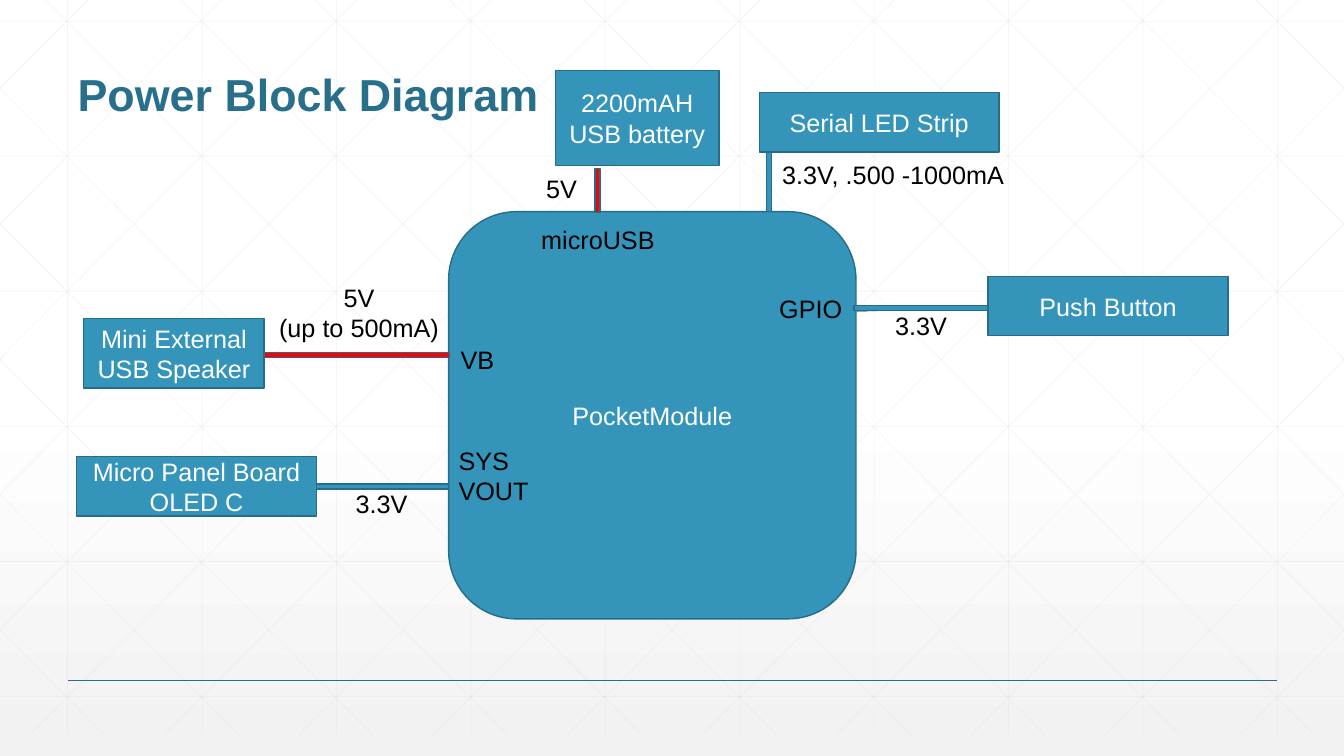
from copy import deepcopy

from lxml import etree
from pptx import Presentation
from pptx.dml.color import RGBColor
from pptx.enum.shapes import MSO_CONNECTOR, MSO_SHAPE
from pptx.enum.text import MSO_ANCHOR, MSO_AUTO_SIZE, PP_ALIGN
from pptx.oxml.ns import qn
from pptx.util import Inches, Pt

STRAIGHT = MSO_CONNECTOR.STRAIGHT
RECTANGLE, ROUNDED = MSO_SHAPE.RECTANGLE, MSO_SHAPE.ROUNDED_RECTANGLE
TOP, MIDDLE, BOTTOM = MSO_ANCHOR.TOP, MSO_ANCHOR.MIDDLE, MSO_ANCHOR.BOTTOM
LEFT, CENTER = PP_ALIGN.LEFT, PP_ALIGN.CENTER

WHITE = RGBColor(0xFF, 0xFF, 0xFF)
BLACK = RGBColor(0, 0, 0)
RED = RGBColor(0xFF, 0, 0)
BLUE = RGBColor(0x34, 0x94, 0xBA)
EDGE = RGBColor(0x26, 0x6D, 0x8A)
TITLE_BLUE = RGBColor(0x27, 0x6F, 0x8B)
GRID_GRAY = RGBColor(0xD9, 0xD9, 0xD9)
PALE_GRAY = RGBColor(0xF2, 0xF2, 0xF2)

SLIDE_WIDTH, SLIDE_HEIGHT = 13.33, 7.5
FONT = "Arial"
BAR = 0.05


def write_text(shape, text, size=18, color=BLACK, bold=False, align=LEFT,
               anchor=TOP, line_spacing=None):
    frame = shape.text_frame
    frame.word_wrap = True
    frame.auto_size = MSO_AUTO_SIZE.NONE
    frame.vertical_anchor = anchor
    frame.text = text
    for paragraph in frame.paragraphs:
        paragraph.alignment = align
        paragraph.line_spacing = line_spacing
        paragraph.font.name = FONT
        paragraph.font.size = Pt(size)
        paragraph.font.bold = bold
        paragraph.font.color.rgb = color


def add_line(shapes, start, end, color, width, opacity=None):
    line = shapes.add_connector(STRAIGHT, *map(Inches, (*start, *end)))
    line.line.color.rgb = color
    line.line.width = Pt(width)
    properties = line.element.spPr
    if opacity is not None:
        fill_color = next(properties.iter(qn("a:srgbClr")))
        etree.SubElement(fill_color, qn("a:alpha")).set("val", str(opacity * 1000))
    etree.SubElement(properties, qn("a:effectLst"))


def add_box(slide, box, text="", fill=BLUE, kind=RECTANGLE):
    shape = slide.shapes.add_shape(kind, *map(Inches, box))
    shape.shadow.inherit = False
    shape.fill.solid()
    shape.fill.fore_color.rgb = fill
    shape.line.color.rgb = EDGE
    shape.line.width = Pt(1)
    if text:
        write_text(shape, text, color=WHITE, align=CENTER, anchor=MIDDLE)


def add_label(slide, box, text, align=LEFT):
    write_text(slide.shapes.add_textbox(*map(Inches, box)), text, align=align)


def set_background(slide):
    fill = slide.background.fill
    fill.gradient()
    fill.gradient_angle = 270
    first = fill.gradient_stops[0]
    first.color.rgb = WHITE
    first.position = 0
    last = fill.gradient_stops[1]
    last.color.rgb = PALE_GRAY
    last.position = 1
    stops = next(slide.background.fill._xPr.iter(qn("a:gsLst")))
    middle = deepcopy(stops[0])
    middle.set("pos", "53000")
    stops.insert(1, middle)


def add_grid(slide, top, height):
    """Draw the faint lattice of upright, level and mirrored slanting lines."""
    pitch, run = 4 / 3, 7.45
    bottom = top + height
    lines = [((x, top), (x, bottom)) for x in (0.67 + pitch * i for i in range(10))]
    lines += [((0, y), (SLIDE_WIDTH, y)) for y in (0.21 + 1.34 * i for i in range(6))]
    for i in range(-5, 10):
        x = 0.25 + pitch * i
        ends = [(edge, top + (edge - x) * height / run)
                for edge in (max(x, 0), min(x + run, SLIDE_WIDTH))]
        lines.append(ends)
        lines.append([(SLIDE_WIDTH - a, b) for a, b in ends])
    group = slide.shapes.add_group_shape()
    for start, end in lines:
        add_line(group.shapes, start, end, GRID_GRAY, 0.5, opacity=25)


def add_title(slide, box):
    title = slide.shapes.title
    title.left, title.top, title.width, title.height = map(Inches, box)
    write_text(title, "Power Block Diagram", size=32, color=TITLE_BLUE, bold=True,
               anchor=BOTTOM, line_spacing=0.9)
    title.element.getparent().append(title.element)


def add_board(slide, left, top, side):
    add_box(slide, (left, top, side, side), "PocketModule", kind=ROUNDED)
    pins = [("SYS VOUT", 0, 2.27, 1.04, 0.71), ("VB", 0.02, 1.27, 1.04, 0.4),
            ("microUSB", 0.82, 0.08, 1.37, 0.4), ("GPIO", 3.18, 0.76, 0.88, 0.4)]
    for text, x, y, width, height in pins:
        add_label(slide, (left + x, top + y, width, height), text)


def add_display(slide, left, top):
    add_box(slide, (left + 2.36, top + 0.27, 1.33, BAR))
    add_box(slide, (left, top, 2.38, 0.59), "Micro Panel Board OLED C")
    add_label(slide, (left + 2.67, top + 0.27, 1.04, 0.4), "3.3V")


def add_speaker(slide, left, top):
    add_box(slide, (left + 1.75, top + 0.34, 1.88, BAR), fill=RED)
    add_label(slide, (left + 1.67, top - 0.41, 2.12, 0.71), "5V\n(up to 500mA)", CENTER)
    add_box(slide, (left, top, 1.79, 0.69), "Mini External USB Speaker")


def add_battery(slide, left, top):
    add_box(slide, (left + 0.39, top + 0.97, BAR, 0.44), fill=RED)
    add_box(slide, (left, top, 1.62, 0.94), "2200mAH USB battery")
    add_label(slide, (left - 1, top + 0.97, 2.12, 0.4), "5V", CENTER)


def add_led_strip(slide, left, top):
    add_box(slide, (left, top, 2.38, 0.59), "Serial LED Strip")
    add_label(slide, (left + 0.13, top + 0.61, 2.48, 0.4), "3.3V, .500 -1000mA")
    add_box(slide, (left + 0.07, top + 0.59, BAR, 0.59))


def add_push_button(slide, left, top):
    add_box(slide, (left, top, 2.38, 0.59), "Push Button")
    add_line(slide.shapes, (left - 1.3, top + 0.34), (left - 0.52, top + 0.32), BLACK, 1.5)
    add_box(slide, (left - 1.33, top + 0.29, 1.33, BAR))
    add_label(slide, (left - 1.02, top + 0.29, 1.04, 0.4), "3.3V")


def main():
    presentation = Presentation()
    presentation.slide_width = Inches(SLIDE_WIDTH)
    presentation.slide_height = Inches(SLIDE_HEIGHT)
    slide = presentation.slides.add_slide(presentation.slide_layouts.get_by_name("Title Only"))
    set_background(slide)
    add_grid(slide, -0.21, 7.5)
    add_line(slide.shapes, (0.67, 6.75), (12.67, 6.75), TITLE_BLUE, 1)
    add_title(slide, (0.67, 0.25, 12, 1))
    add_board(slide, 4.45, 2.1, 4.04)
    add_display(slide, 0.76, 4.53)
    add_speaker(slide, 0.83, 3.16)
    add_battery(slide, 5.51, 0.7)
    add_led_strip(slide, 7.53, 0.92)
    add_push_button(slide, 9.8, 2.74)
    presentation.save("out.pptx")


if __name__ == "__main__":
    main()
